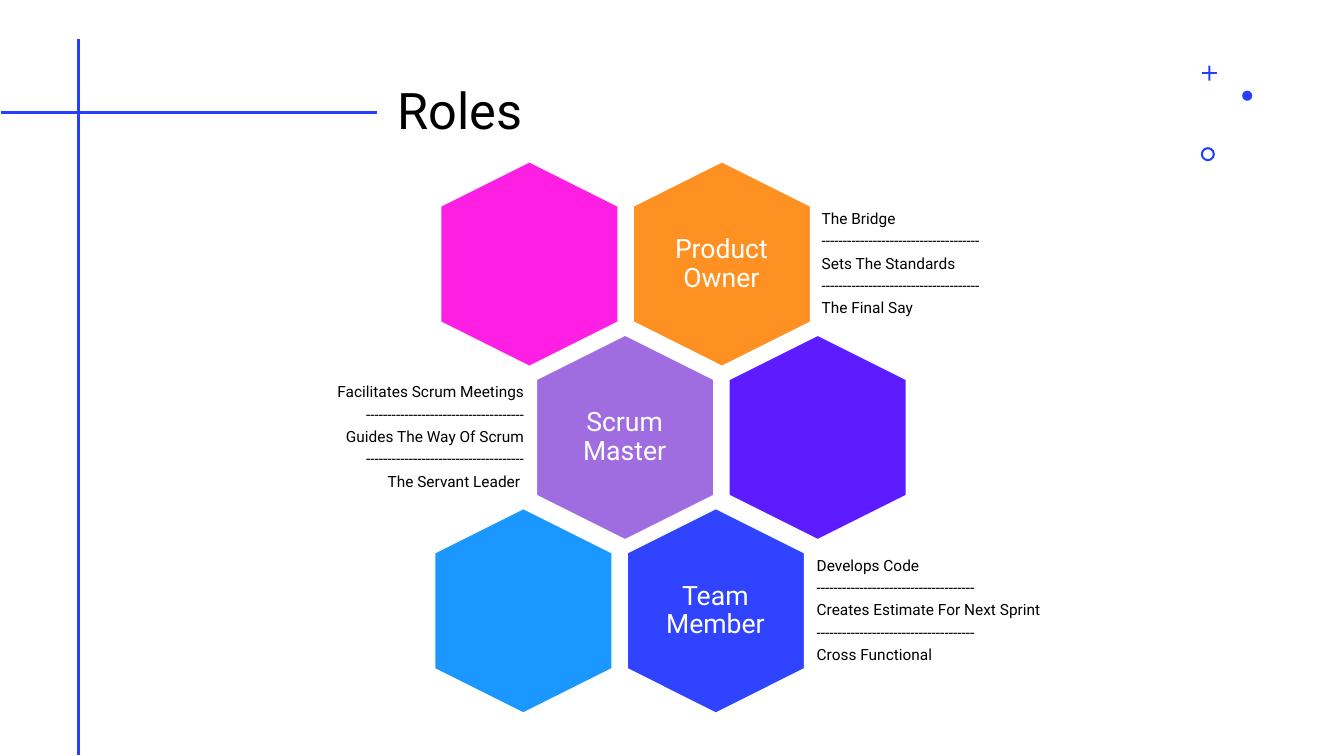
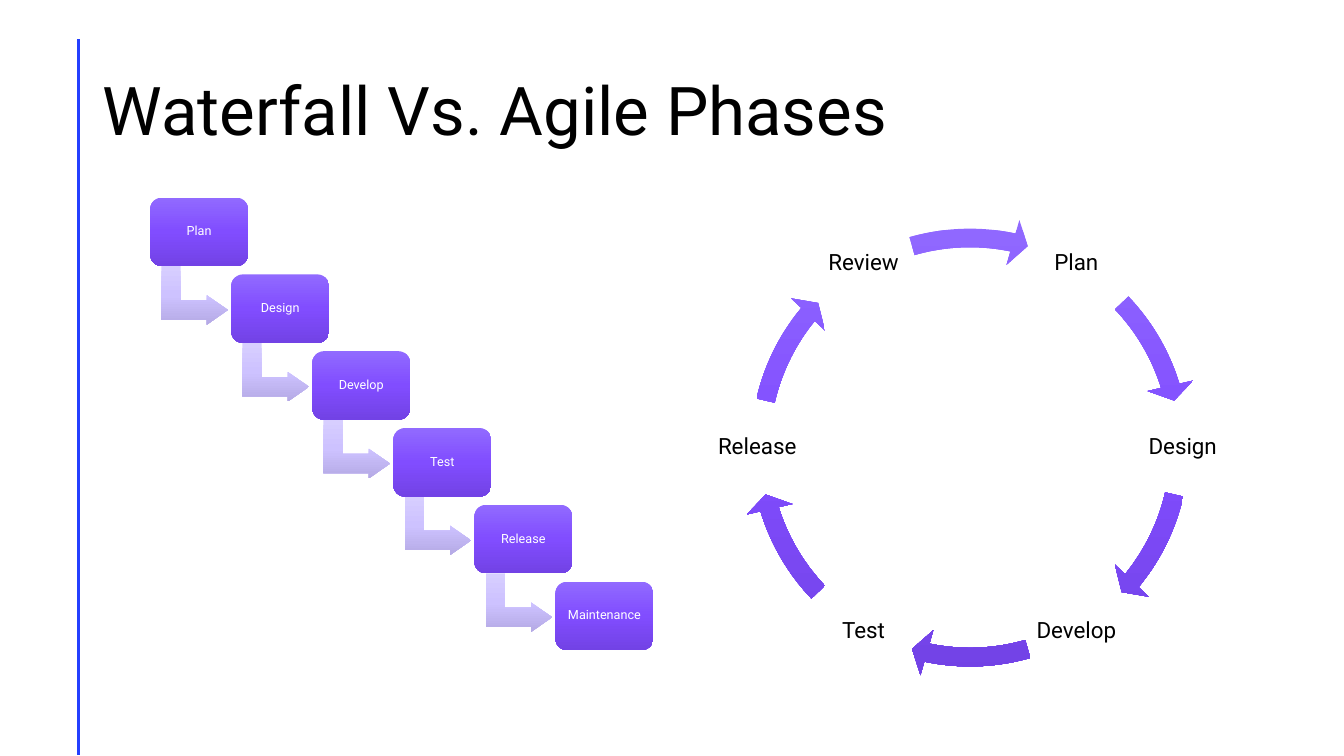
from copy import deepcopy
from dataclasses import dataclass
from math import cos, radians, sin

from pptx import Presentation
from pptx.dml.color import RGBColor
from pptx.enum.shapes import MSO_CONNECTOR, MSO_SHAPE
from pptx.enum.text import MSO_ANCHOR, MSO_AUTO_SIZE, PP_ALIGN
from pptx.oxml.ns import qn
from pptx.oxml.xmlchemy import OxmlElement
from pptx.util import Inches, Pt


@dataclass(frozen=True)
class Theme:
    """Colours, font and type sizes of the deck."""
    font: str = "Roboto"
    ink: str = "000000"
    paper: str = "FFFFFF"
    accent: str = "243FFF"
    orange: str = "FF9022"
    pink: str = "FF1EE3"
    lilac: str = "9F6DDF"
    violet: str = "5D1CFF"
    blue: str = "3043FF"
    sky: str = "1A98FF"
    strong_fade: tuple = ("916AFF", "814DFF", "7242E5")
    soft_fade: tuple = ("D7CEFF", "CDC2FF", "B5AAE5")
    title: int = 48
    small_title: int = 36
    note: int = 11
    role: int = 19
    phase: int = 16
    step: int = 9


class Deck:
    """Holds the style and the slide being drawn."""

    def __init__(self, theme):
        self.theme = theme
        self.prs = Presentation()
        self.prs.slide_width, self.prs.slide_height = Inches(13.33), Inches(7.5)
        self.s = None

    def slide(self, title, size, left, width):
        self.s = self.prs.slides.add_slide(self.prs.slide_layouts[5])
        self.line(0.78, 0.39, 0.78, 7.49)
        sp = self.s.shapes.title
        sp.left, sp.top = Inches(left), Inches(0.4)
        sp.width, sp.height = Inches(width), Inches(1.45)
        self.fill_text(sp, [title], size, align=PP_ALIGN.LEFT, inset=0.1, after=0)

    def fill_text(self, sp, lines, size, color=None, align=PP_ALIGN.CENTER,
                  inset=0.05, after=0.37):
        tf = sp.text_frame
        frame = dict(word_wrap=True, auto_size=MSO_AUTO_SIZE.NONE,
                     vertical_anchor=MSO_ANCHOR.MIDDLE)
        frame |= {f"margin_{side}": Inches(inset)
                  for side in ("left", "top", "right", "bottom")}
        self.apply(tf, frame)
        for i, line in enumerate(lines):
            p = tf.paragraphs[0] if i == 0 else tf.add_paragraph()
            self.apply(p, dict(alignment=align, line_spacing=0.9,
                               space_before=Pt(0), space_after=Pt(size * after)))
            r = p.add_run()
            r.text = line
            self.apply(r.font, dict(name=self.theme.font, size=Pt(size)))
            r.font.color.rgb = RGBColor.from_string(color or self.theme.ink)

    @staticmethod
    def apply(target, values):
        for name, value in values.items():
            setattr(target, name, value)

    def text(self, x, y, w, h, lines, size, **style):
        sp = self.s.shapes.add_textbox(*map(Inches, (x, y, w, h)))
        self.fill_text(sp, lines, size, **style)

    def shape(self, kind, x, y, w, h, fill, adjust=(), rotation=0, outline=None):
        """A tuple of colours as fill makes a top-to-bottom gradient."""
        sp = self.s.shapes.add_shape(kind, *map(Inches, (x, y, w, h)))
        sp.shadow.inherit = False
        sp.rotation = rotation
        for i, value in enumerate(adjust):
            sp.adjustments[i] = value
        if isinstance(fill, tuple):
            self.fade(sp, fill)
        else:
            sp.fill.solid()
            sp.fill.fore_color.rgb = RGBColor.from_string(fill)
        if outline:
            sp.line.color.rgb = RGBColor.from_string(outline)
            sp.line.width = Pt(1)
        else:
            sp.line.fill.background()
        return sp

    @staticmethod
    def fade(sp, colors):
        sp.fill.gradient()
        sp.fill.gradient_angle = 270
        grad = sp._element.spPr.find(qn("a:gradFill"))
        grad.set("rotWithShape", "0")
        stops = grad.find(qn("a:gsLst"))
        stops.append(deepcopy(stops[-1]))
        for i, (stop, color) in enumerate(zip(sp.fill.gradient_stops, colors)):
            stop.position = i / (len(colors) - 1)
            stop.color.rgb = RGBColor.from_string(color)

    def line(self, x1, y1, x2, y2):
        cx = self.s.shapes.add_connector(MSO_CONNECTOR.STRAIGHT,
                                         *map(Inches, (x1, y1, x2, y2)))
        cx.line.color.rgb = RGBColor.from_string(self.theme.accent)
        cx.line.width = Pt(2)
        cx._element.spPr.append(OxmlElement("a:effectLst"))

    def hexagon(self, cx, cy, fill, label=None):
        w, h = 2.03, 1.76
        self.shape(MSO_SHAPE.HEXAGON, cx - w / 2, cy - h / 2, w, h, fill,
                   rotation=90, outline=self.theme.paper)
        if label:
            self.text(cx - 0.61, cy - 0.7, 1.21, 1.4, [label], self.theme.role,
                      color=self.theme.paper, inset=0.08)


def roles_slide(deck):
    t = deck.theme
    deck.slide("Roles", t.small_title, 3.84, 7.83)
    deck.line(0.01, 1.12, 3.74, 1.12)

    # Small marks in the corner
    deck.shape(MSO_SHAPE.CROSS, 11.92, 0.65, 0.15, 0.15, t.accent, [0.44])
    deck.shape(MSO_SHAPE.OVAL, 12.32, 0.9, 0.1, 0.1, t.accent)
    deck.shape(MSO_SHAPE.DONUT, 11.91, 1.46, 0.14, 0.14, t.accent, [0.15])

    # One row per role: named hexagon, plain neighbour, notes
    left, right = PP_ALIGN.LEFT, PP_ALIGN.RIGHT
    rows = [
        ("Product Owner", 7.16, t.orange, -1, t.pink, 8.1, 2.26, left,
         ("The Bridge", "Sets The Standards", "The Final Say")),
        ("Scrum Master", 6.2, t.lilac, 1, t.violet, 3.06, 2.19, right,
         ("Facilitates Scrum Meetings", "Guides The Way Of Scrum",
          "The Servant Leader ")),
        ("Team Member", 7.1, t.blue, -1, t.sky, 8.05, 2.52, left,
         ("Develops Code", "Creates Estimate For Next Sprint",
          "Cross Functional")),
    ]
    rule = "-" * 37
    for i, (role, cx, fill, side, plain, x, w, align, notes) in enumerate(rows):
        cy = 2.62 + 1.72 * i
        deck.hexagon(cx, cy, fill, role)
        deck.hexagon(cx + side * 1.91, cy, plain)
        first, second, third = notes
        deck.text(x, cy - 0.61, w, 1.22, [first, rule, second, rule, third],
                  t.note, align=align)


def phases_slide(deck):
    t = deck.theme
    deck.slide("Waterfall Vs. Agile Phases", t.title, 0.92, 11.5)

    # Agile cycle: labels every 60 degrees, arrows repeat after half a turn
    cx, cy, radius, ring, box = 9.62, 4.44, 2.11, 4.62, 0.95
    arcs = [(316.39, 342.88), (12.95, 39.44), (73.98, 101.85)]
    phases = ["Plan", "Design", "Develop", "Test", "Release", "Review"]
    for i, phase in enumerate(phases):
        angle = radians(60 * (i - 1))
        deck.text(cx + radius * cos(angle) - box / 2,
                  cy + radius * sin(angle) - box / 2,
                  box, box, [phase], t.phase, inset=0.02)
        # Adjustments count angles in units of 5/3 degree
        start, end = ((a + 180 * (i // 3)) % 360 * 0.6 for a in arcs[i % 3])
        deck.shape(MSO_SHAPE.CIRCULAR_ARROW, cx - ring / 2, cy - ring / 2,
                   ring, ring, t.strong_fade, [0.04, 2.5, end, start, 0.05])

    # Waterfall cascade: equal steps from first to last box
    steps = ["Plan", "Design", "Develop", "Test", "Release", "Maintenance"]
    last = len(steps) - 1
    for i, step in enumerate(steps):
        x = 1.49 + (5.51 - 1.49) * i / last
        y = 1.96 + (5.77 - 1.96) * i / last
        if i < last:
            deck.shape(MSO_SHAPE.BENT_UP_ARROW, x + 0.15, y + 0.64, 0.58, 0.66,
                       t.soft_fade, [0.33, 0.25, 0.36], rotation=90)
        sp = deck.shape(MSO_SHAPE.ROUNDED_RECTANGLE, x, y, 0.97, 0.68,
                        t.strong_fade, [0.17])
        deck.fill_text(sp, [step], t.step, color=t.paper, inset=0.04)


def main():
    deck = Deck(Theme())
    roles_slide(deck)
    phases_slide(deck)
    deck.prs.save("out.pptx")


if __name__ == "__main__":
    main()
